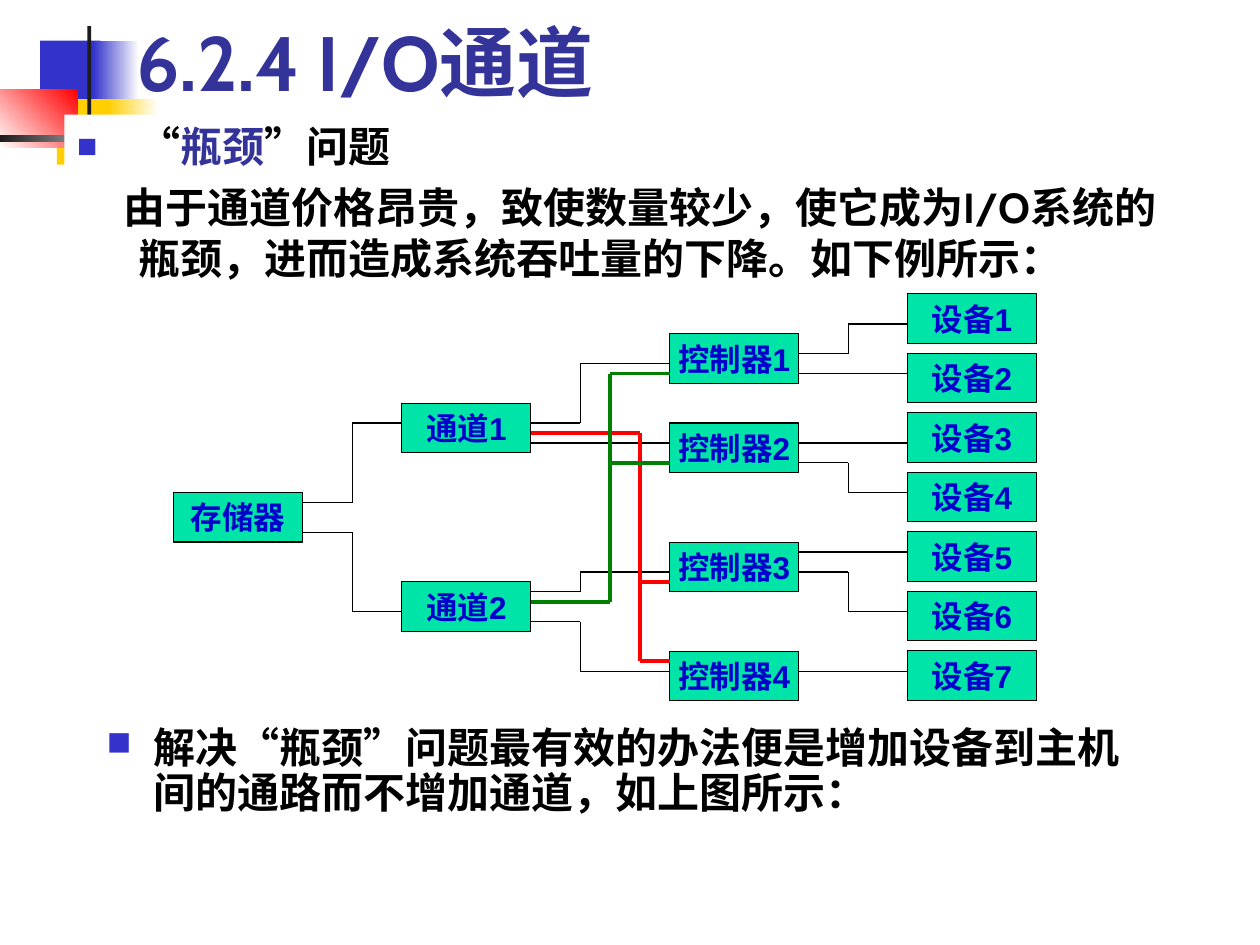
from itertools import pairwise

from lxml.etree import SubElement
from pptx import Presentation
from pptx.dml.color import RGBColor
from pptx.enum.shapes import MSO_CONNECTOR as Connector, MSO_SHAPE as Shape
from pptx.enum.text import MSO_ANCHOR as Anchor, MSO_AUTO_SIZE as AutoSize, PP_ALIGN as Align
from pptx.oxml.ns import qn
from pptx.util import Cm, Pt

BLUE, NAVY, YELLOW, DARK = "3333CC", "333399", "FFCF01", "1C1C1C"
BLACK, WHITE, RED, GREEN = "000000", "FFFFFF", "FF0000", "008000"

# Left edges of the four columns of the diagram, and the size of its boxes
MEMORY_X, CHANNEL_X, CONTROLLER_X, DEVICE_X = 3.5, 8.1, 13.5, 18.29
BOX_WIDTH, BOX_HEIGHT = 2.6, 1.0

# left, top, width, height, colours, gradient angle
ORNAMENTS = [
    (0.81, 0.82, 1.22, 1.32, [BLUE], 0),
    (1.88, 0.82, 0.92, 1.32, [BLUE, WHITE], 0),
    (1.15, 2.0, 1.17, 1.32, [YELLOW], 0),
    (2.18, 2.0, 1.02, 1.32, [YELLOW, WHITE], 0),
    (0, 1.8, 1.56, 1.18, [WHITE, RED], 45),
    (1.76, 0.53, 0.08, 2.92, [DARK], 0),
    (0, 2.72, 3.1, 0.15, [DARK, WHITE], 0),
]

# column, label, tops of its boxes
COLUMNS = [
    (MEMORY_X, "存储器", [9.93]),
    (CHANNEL_X, "通道", [8.13, 11.73]),
    (CONTROLLER_X, "控制器", [6.73, 8.53, 10.93, 13.13]),
    (DEVICE_X, "设备", [5.92 + 1.2 * row for row in range(7)]),
]

# column on the left, trunk, column on the right, (source y, target y) pairs
LINKS = [
    (MEMORY_X, 7.1, CHANNEL_X, [(10.13, 8.53), (10.73, 12.33)]),
    (CHANNEL_X, 11.7, CONTROLLER_X,
     [(8.53, 7.33), (8.93, 8.93), (11.93, 11.53), (12.53, 13.53)]),
    (CONTROLLER_X, 17.1, DEVICE_X,
     [(7.13, 6.53), (7.53, 7.53), (8.93, 8.93), (9.33, 9.93),
      (11.13, 11.13), (11.53, 12.33), (13.53, 13.53)]),
]


def color(hex_value):
    return RGBColor.from_string(hex_value)


def place(shape, left, top, width, height):
    shape.left, shape.top = Cm(left), Cm(top)
    shape.width, shape.height = Cm(width), Cm(height)


def write(paragraph, *runs, size=24, font="Cabin", ink=BLACK, align=Align.LEFT,
          before=0, spacing=1.0, indent=(0, 0), bullet=False):
    """Fill a paragraph; a run is a text or a (text, colour) pair."""
    paragraph.alignment = align
    paragraph.space_before, paragraph.line_spacing = Pt(before), spacing
    properties = paragraph._p.get_or_add_pPr()
    margin, first_line = indent
    properties.set("marL", str(Cm(margin)))
    properties.set("indent", str(Cm(first_line)))
    if bullet:
        tint = SubElement(properties, qn("a:buClr"))
        SubElement(tint, qn("a:srgbClr"), val=BLUE)
        SubElement(properties, qn("a:buSzPct"), val="80000")
        SubElement(properties, qn("a:buChar"), char="■")
    else:
        SubElement(properties, qn("a:buNone"))
    for item in runs:
        text, run_ink = (item, ink) if isinstance(item, str) else item
        run = paragraph.add_run()
        run.text = text
        run.font.name, run.font.size, run.font.bold = font, Pt(size), True
        run.font.color.rgb = color(run_ink)


def add_rectangle(slide, left, top, width, height, colors, angle=0):
    rectangle = slide.shapes.add_shape(
        Shape.RECTANGLE, Cm(left), Cm(top), Cm(width), Cm(height))
    rectangle.shadow.inherit = False
    rectangle.line.fill.background()
    if len(colors) == 1:
        rectangle.fill.solid()
        rectangle.fill.fore_color.rgb = color(colors[0])
    else:
        rectangle.fill.gradient()
        rectangle.fill.gradient_angle = angle
        for stop, hex_value in zip(rectangle.fill.gradient_stops, colors):
            stop.color.rgb = color(hex_value)
    return rectangle


def add_box(slide, left, top, label):
    box = add_rectangle(slide, left, top, BOX_WIDTH, BOX_HEIGHT, ["00E4A8"])
    box.line.color.rgb, box.line.width = color(BLACK), Pt(0.75)
    frame = box.text_frame
    frame.word_wrap, frame.vertical_anchor = False, Anchor.MIDDLE
    write(frame.paragraphs[0], label, size=18, font="Arial", ink="0000CC", align=Align.CENTER)


def add_line(slide, start, end, ink, weight):
    line = slide.shapes.add_connector(Connector.STRAIGHT, *map(Cm, start + end))
    line.line.color.rgb, line.line.width = color(ink), Pt(weight)
    SubElement(line.element.spPr, qn("a:effectLst"))


def add_link(slide, column, trunk, target, source_y, target_ys, ink=BLACK, weight=0.75):
    """Join a box to the next column; several targets share a trunk, farthest last."""
    start = column + BOX_WIDTH
    farthest = target_ys[-1]
    if farthest == source_y:
        points = [(start, source_y), (target, source_y)]
    else:
        points = [(start, source_y), (trunk, source_y), (trunk, farthest), (target, farthest)]
    for segment in pairwise(points):
        add_line(slide, *segment, ink, weight)
    for branch in target_ys[:-1]:
        add_line(slide, (trunk, branch), (target, branch), ink, weight)


def add_heading(slide):
    title, body = slide.placeholders
    for ornament in ORNAMENTS:
        add_rectangle(slide, *ornament)
    for placeholder in (title, body):  # bring the text in front of the ornaments
        placeholder.element.getparent().append(placeholder.element)
        placeholder.text_frame.auto_size = AutoSize.NONE

    place(title, 2.49, 0.13, 21.64, 2.16)
    title.text_frame.vertical_anchor = Anchor.BOTTOM
    write(title.text_frame.paragraphs[0], "6.2.4 I/O通道", size=44, ink=NAVY)

    place(body, 1.3, 2.31, 22.81, 3.99)
    body.fill.solid()
    body.fill.fore_color.rgb = color(WHITE)
    frame = body.text_frame
    write(frame.paragraphs[0], "“", ("瓶颈", NAVY), "”问题", indent=(1.24, -1.24), bullet=True)
    write(frame.add_paragraph(),
          "由于通道价格昂贵，致使数量较少，使它成为I/O系统的瓶颈，进而造成系统吞吐量的下降。如下例所示：",
          before=6, indent=(1.24, -0.3))


def add_diagram(slide):
    for left, name, tops in COLUMNS:
        for number, top in enumerate(tops, 1):
            add_box(slide, left, top, f"{name}{number}" if len(tops) > 1 else name)
    for column, trunk, target, pairs in LINKS:
        for source_y, target_y in pairs:
            add_link(slide, column, trunk, target, source_y, [target_y])


def add_conclusion(slide):
    conclusion = slide.shapes.add_textbox(Cm(1.9), Cm(14.53), Cm(21.6), Cm(2.2))
    conclusion.text_frame.word_wrap = True
    write(conclusion.text_frame.paragraphs[0],
          "解决“瓶颈”问题最有效的办法便是增加设备到主机间的通路而不增加通道，如上图所示：",
          spacing=0.9, indent=(0.95, -0.95), bullet=True)


def main():
    deck = Presentation()
    deck.slide_width, deck.slide_height = Cm(25.4), Cm(19.05)
    slide = deck.slides.add_slide(deck.slide_layouts[1])
    add_heading(slide)
    add_diagram(slide)
    add_conclusion(slide)
    add_link(slide, CHANNEL_X, 12.9, CONTROLLER_X, 8.73, [11.73, 13.33], RED, 2.25)
    add_link(slide, CHANNEL_X, 12.3, CONTROLLER_X, 12.13, [9.33, 7.53], GREEN, 2.25)
    deck.save("out.pptx")


if __name__ == "__main__":
    main()
